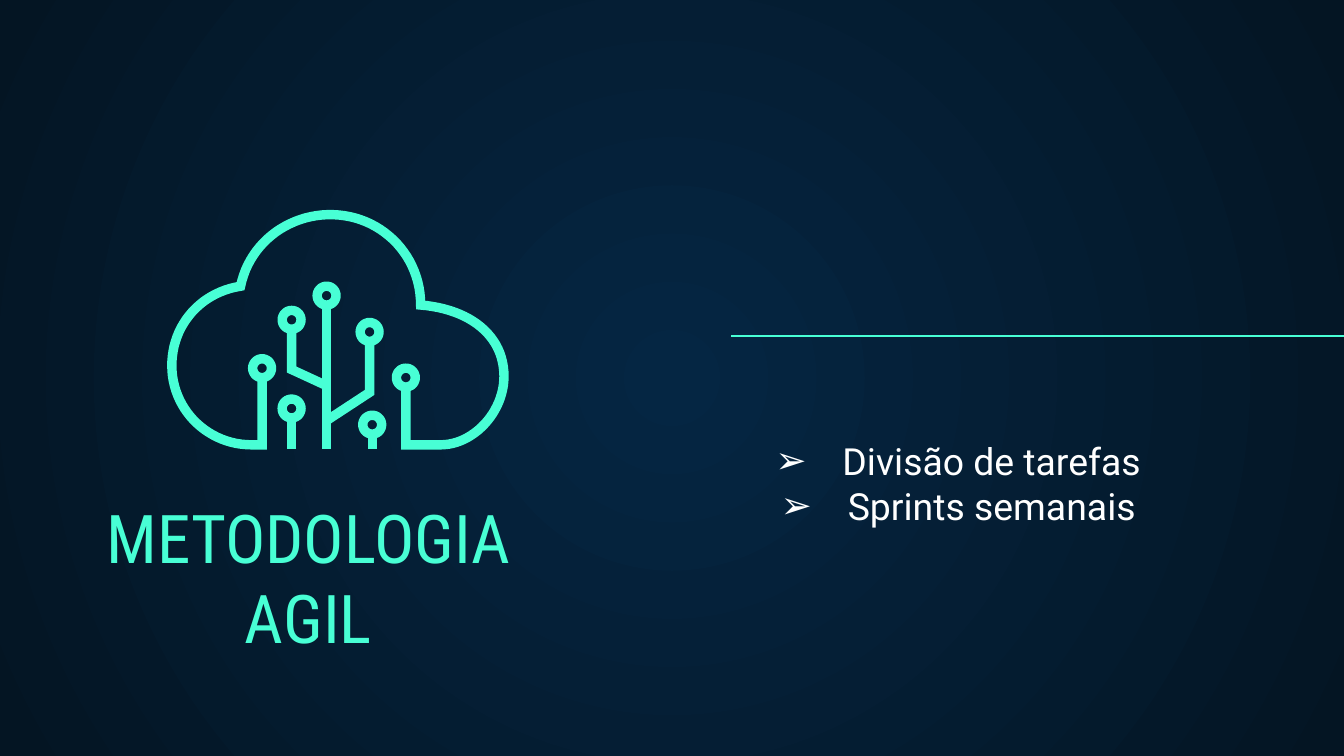
from math import cos, sin, tau
from lxml.etree import SubElement
from pptx import Presentation
from pptx.dml.color import RGBColor
from pptx.enum.shapes import MSO_CONNECTOR
from pptx.enum.text import MSO_ANCHOR, MSO_AUTO_SIZE, PP_ALIGN
from pptx.oxml.ns import qn
from pptx.util import Inches, Pt

TITLE = "METODOLOGIA\vAGIL"
ITEMS = ["Divisão de tarefas", "Sprints semanais"]
MINT, WHITE = "48FFD5", "FFFFFF"
GLOW = ["052643", "041523"]
STROKE, RADIUS = 0.07, 0.07
BASE = 3.34

LEFT = [(1.95, 2.83), (1.95, 3.31), (1.87, 3.31)]
CURVES = [
    [(1.56, 3.31), (1.3, 3.07), (1.28, 2.76)],
    [(1.26, 2.45), (1.47, 2.18), (1.79, 2.13)],
    [(1.86, 1.79), (2.18, 1.57), (2.52, 1.6)],
    [(2.86, 1.63), (3.13, 1.91), (3.13, 2.27)],
    [(3.5, 2.3), (3.75, 2.5), (3.75, 2.8)],
    [(3.75, 3.07), (3.52, 3.31), (3.28, 3.31)],
]
RIGHT = [(3.02, 3.31), (3.02, 2.9)]
TREE = [
    [(2.17, 2.47), (2.17, 2.75), (2.43, 2.87)],
    [(2.43, 2.29), (2.43, BASE)],
    [(2.75, 2.56), (2.75, 2.92), (2.43, 3.13)],
]


def color(code):
    return RGBColor.from_string(code)


def box(*sides):
    return [Inches(side) for side in sides]


def bend(start, curve, steps=24):
    ends = [start, *curve]
    for step in range(1, steps + 1):
        t = step / steps
        parts = [(1 - t) ** 3, 3 * t * (1 - t) ** 2, 3 * t * t * (1 - t), t ** 3]
        yield tuple(sum(w * p[axis] for w, p in zip(parts, ends)) for axis in (0, 1))


def ring(x, y, steps=36):
    turns = [tau * step / steps for step in range(steps)]
    return [(x + RADIUS * cos(turn), y + RADIUS * sin(turn)) for turn in turns]


def outline():
    cloud = list(LEFT)
    for curve in CURVES:
        cloud.extend(bend(cloud[-1], curve))
    return cloud + RIGHT


def draw(slide, lines, nodes):
    paths = [(line, False) for line in lines]
    paths += [(ring(*node), True) for node in nodes]
    pen = slide.shapes.build_freeform(*box(*lines[0][0]))
    for place, (points, closed) in enumerate(paths):
        spots = [box(*point) for point in points]
        if place:
            pen.move_to(*spots[0])
        pen.add_line_segments(spots[1:], close=closed)
    shape = pen.convert_to_shape()
    shape.shadow.inherit = False
    shape.fill.background()
    shape.line.color.rgb = color(MINT)
    shape.line.width = Inches(STROKE)
    SubElement(shape.line._get_or_add_ln(), qn("a:miter"), lim="800000")


def write(shape, text, size, face, tint, anchor):
    frame = shape.text_frame
    frame.text = text
    frame.word_wrap = True
    frame.auto_size = MSO_AUTO_SIZE.NONE
    frame.vertical_anchor = anchor
    frame.margin_left = frame.margin_right = Inches(0.1)
    frame.margin_top = frame.margin_bottom = Inches(0.1)
    for para in frame.paragraphs:
        para.alignment = PP_ALIGN.CENTER
        para.line_spacing = 1.0
        para.space_before = Pt(0)
        for run in para.runs:
            run.font.size = Pt(size)
            run.font.name = face
            run.font.color.rgb = color(tint)
    return frame


def bullet(para):
    props = para._p.get_or_add_pPr()
    props.set("marL", str(Inches(0.62)))
    props.set("indent", str(Inches(-0.5)))
    tint = SubElement(props, qn("a:buClr"))
    SubElement(tint, qn("a:srgbClr"), val=WHITE)
    SubElement(props, qn("a:buFont"), typeface="Roboto")
    SubElement(props, qn("a:buChar"), char="➢")


def backdrop(slide):
    fill = slide.background.fill
    fill.gradient()
    for place, (stop, code) in enumerate(zip(fill.gradient_stops, GLOW)):
        stop.color.rgb = color(code)
        stop.position = place
    grad = slide.background._cSld.find(".//" + qn("a:gradFill"))
    grad.remove(grad.find(qn("a:lin")))
    glow = SubElement(grad, qn("a:path"), {"path": "circle"})
    SubElement(glow, qn("a:fillToRect"), dict.fromkeys("ltrb", "50000"))


def main():
    deck = Presentation()
    deck.slide_width, deck.slide_height = box(10, 5.625)
    slide = deck.slides.add_slide(deck.slide_layouts[5])
    backdrop(slide)

    rule = slide.shapes.add_connector(
        MSO_CONNECTOR.STRAIGHT, *box(5.44, 2.5, 10.3, 2.5))
    rule.line.color.rgb = color(MINT)
    rule.line.width = Pt(0.75)
    SubElement(rule._element.spPr, qn("a:effectLst"))

    draw(slide, TREE, [(2.17, 2.38), (2.43, 2.2), (2.75, 2.47)])
    draw(slide, [outline()], [(1.95, 2.74), (3.02, 2.81)])
    for x, y in [(2.17, 3.04), (2.77, 3.16)]:
        draw(slide, [[(x, y + 0.09), (x, BASE)]], [(x, y)])

    title = slide.shapes.title
    title.left, title.top, title.width, title.height = box(0.48, 4.18, 3.63, 0.81)
    write(title, TITLE, 36, "Roboto Condensed", MINT, MSO_ANCHOR.BOTTOM)

    body = slide.shapes.add_textbox(*box(4.92, 3.16, 4.3, 1.55))
    frame = write(body, "\n".join(ITEMS), 20, "Roboto", WHITE, MSO_ANCHOR.TOP)
    for para in frame.paragraphs:
        bullet(para)

    deck.save("out.pptx")


if __name__ == "__main__":
    main()
